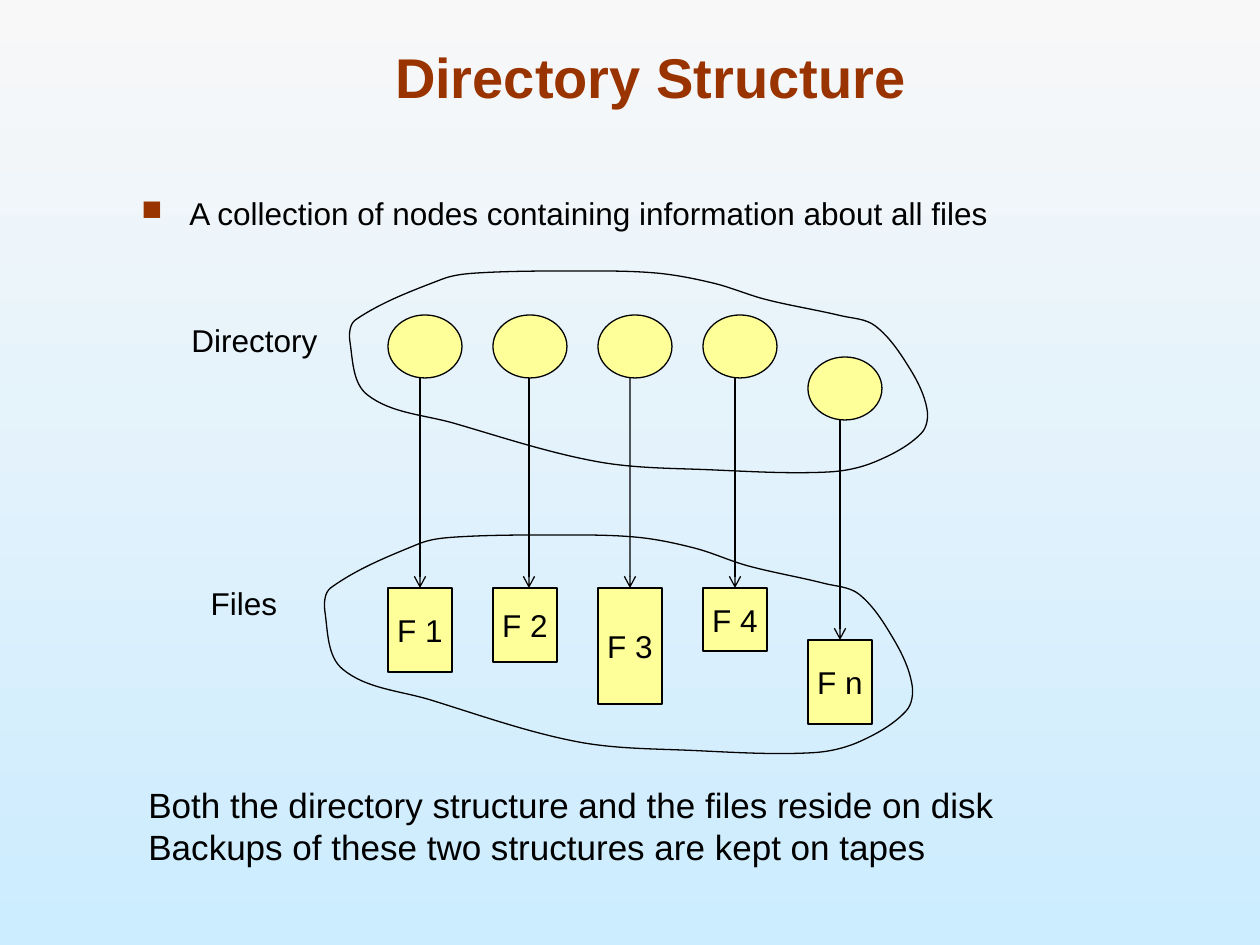
"""Builds the "Directory Structure" slide: directory nodes pointing at files."""
from math import dist
from lxml.etree import SubElement
from pptx import Presentation
from pptx.dml.color import RGBColor
from pptx.enum.shapes import MSO_CONNECTOR, MSO_SHAPE
from pptx.enum.text import MSO_ANCHOR, MSO_AUTO_SIZE, PP_ALIGN
from pptx.oxml.ns import qn
from pptx.util import Pt

PX = 914400 / 126
BLACK, RUST, YELLOW = "000000", "993300", "FFFF99"
BACKGROUND = ["F8F8F8", "CCECFF"]

TITLE = ("Directory Structure", (94, 32, 1113, 84))
POINT = ("A collection of nodes containing information about all files", (129, 192, 907, 48))
LABELS = [("Directory", (179, 315, 151, 50)), ("Files", (198, 578, 92, 50))]
NOTES = (["Both the directory structure and the files reside on disk",
          "Backups of these two structures are kept on tapes"], (136, 777, 969, 53))

FIRST_LEFT, PITCH = 388, 105
NODE_WIDTH, NODE_HEIGHT, FILE_WIDTH = 74, 63, 64
# name, node top, file top, file height, arrow's distance from the file's centre
FILES = [("F 1", 315, 588, 84, 0), ("F 2", 315, 588, 74, 4), ("F 3", 315, 588, 116, 0),
         ("F 4", 315, 588, 63, 0), ("F n", 357, 640, 84, 0)]

CLOUDS = [(350, 271, 577, 203), (325, 535, 587, 220)]
UPPER_EDGE = [(1, 24), (16, 4), (22, 1), (39, 0), (53, 1), (63, 6), (72, 14), (85, 22)]
RIGHT_END = [(91, 27), (97, 48), (100, 68), (99, 80), (91, 94)]
LOWER_EDGE = [(83, 99), (63, 98), (43, 94), (18, 75), (3, 61), (0, 35)]
CLOUD_PERCENTS = UPPER_EDGE + RIGHT_END + LOWER_EDGE


def emu(*lengths):
    return [round(length * PX) for length in lengths]


def rgb(color):
    return RGBColor.from_string(color)


def write(frame, lines, size, color=BLACK, align=PP_ALIGN.LEFT, bold=False):
    frame.text = "\n".join(lines)
    for paragraph in frame.paragraphs:
        paragraph.alignment = align
        font = paragraph.font
        font.name, font.size, font.bold = "Arial", Pt(size), bold
        font.color.rgb = rgb(color)


def draw_line(line):
    line.color.rgb = rgb(BLACK)
    line.width = Pt(0.75)


def style(shape, fill=None):
    shape.shadow.inherit = False
    draw_line(shape.line)
    if fill:
        shape.fill.solid()
        shape.fill.fore_color.rgb = rgb(fill)
    else:
        shape.fill.background()


def add_text(shapes, lines, box, size):
    frame = shapes.add_textbox(*emu(*box)).text_frame
    frame.word_wrap = True
    write(frame, lines, size)
    return frame


def add_point(shapes, text, box):
    paragraph = add_text(shapes, [text], box, 18).paragraphs[0]
    paragraph.line_spacing = 0.9
    properties = paragraph._p.get_or_add_pPr()
    indent = emu(48)[0]
    properties.set("marL", str(indent))
    properties.set("indent", str(-indent))
    bullet = [properties.makeelement(qn("a:" + tag), attributes) for tag, attributes in
              [("buClr", {}), ("buSzPct", {"val": "90000"}), ("buChar", {"char": "■"})]]
    SubElement(bullet[0], qn("a:srgbClr"), val=RUST)
    position = 1 + properties.index(properties.find(qn("a:lnSpc")))
    properties[position:position] = bullet


def add_label(shapes, text, box):
    frame = add_text(shapes, [text], box, 18)
    frame.word_wrap = False
    frame.auto_size = MSO_AUTO_SIZE.SHAPE_TO_FIT_TEXT
    frame.vertical_anchor = MSO_ANCHOR.MIDDLE
    frame.paragraphs[0].alignment = PP_ALIGN.CENTER


def add_file(shapes, name, left, top, height):
    file = shapes.add_shape(MSO_SHAPE.RECTANGLE, *emu(left, top, FILE_WIDTH, height))
    style(file, YELLOW)
    file.text_frame.word_wrap = False
    file.text_frame.vertical_anchor = MSO_ANCHOR.MIDDLE
    write(file.text_frame, [name], 18, align=PP_ALIGN.CENTER)
    return file


def add_arrow(shapes, x, start, end):
    arrow = shapes.add_connector(MSO_CONNECTOR.STRAIGHT, *emu(x, start, x, end))
    draw_line(arrow.line)
    SubElement(arrow.line._get_or_add_ln(), qn("a:tailEnd"), type="arrow")
    SubElement(arrow._element.spPr, qn("a:effectLst"))
    return arrow


def add_column(shapes, left, name, node_top, file_top, height, shift):
    node = shapes.add_shape(MSO_SHAPE.OVAL, *emu(left, node_top, NODE_WIDTH, NODE_HEIGHT))
    style(node, YELLOW)
    file = add_file(shapes, name, left, file_top, height)
    arrow = add_arrow(shapes, left + FILE_WIDTH / 2 + shift, node_top + NODE_HEIGHT, file_top)
    if not shift:
        arrow.end_connect(file, 0)


def handle(anchor, toward, before, after):
    """Control point a third of the way to a neighbour, parallel to the chord around the anchor."""
    reach = dist(anchor, toward) / 3 / dist(before, after)
    return tuple(a + reach * (end - start) for a, start, end in zip(anchor, before, after))


def smooth_loop(anchors):
    """Two control points and an end point for each curve of a closed loop."""
    points = []
    for index, end in enumerate(anchors):
        before, start = anchors[index - 2], anchors[index - 1]
        after = anchors[(index + 1) % len(anchors)]
        points += [handle(start, end, before, end), handle(end, start, after, start), end]
    return points


def add_cloud(shapes, left, top, width, height):
    anchors = [emu(left + width * x / 100, top + height * y / 100) for x, y in CLOUD_PERCENTS]
    builder = shapes.build_freeform(*anchors[-1])
    builder.add_line_segments(smooth_loop(anchors), close=True)
    cloud = builder.convert_to_shape()
    style(cloud)
    segments = list(cloud._element.iter(qn("a:lnTo")))
    for first in range(0, len(segments), 3):
        curve = segments[first].makeelement(qn("a:cubicBezTo"), {})
        segments[first].addprevious(curve)
        for segment in segments[first:first + 3]:
            curve.append(segment[0])
            segment.getparent().remove(segment)


def main():
    deck = Presentation()
    deck.slide_width, deck.slide_height = emu(1260, 945)
    slide = deck.slides.add_slide(deck.slide_layouts[5])
    shapes = slide.shapes

    fill = slide.background.fill
    fill.gradient()
    fill.gradient_angle = 270
    for stop, color in zip(fill.gradient_stops, BACKGROUND):
        stop.color.rgb = rgb(color)

    heading, box = TITLE
    title = shapes.title
    title.left, title.top, title.width, title.height = emu(*box)
    title.text_frame.vertical_anchor = MSO_ANCHOR.BOTTOM
    write(title.text_frame, [heading], 32, RUST, PP_ALIGN.CENTER, bold=True)
    add_point(shapes, *POINT)

    for column, file in enumerate(FILES):
        add_column(shapes, FIRST_LEFT + column * PITCH, *file)
    for cloud in CLOUDS:
        add_cloud(shapes, *cloud)
    for label in LABELS:
        add_label(shapes, *label)
    add_text(shapes, *NOTES, 20)
    deck.save("out.pptx")


if __name__ == "__main__":
    main()
